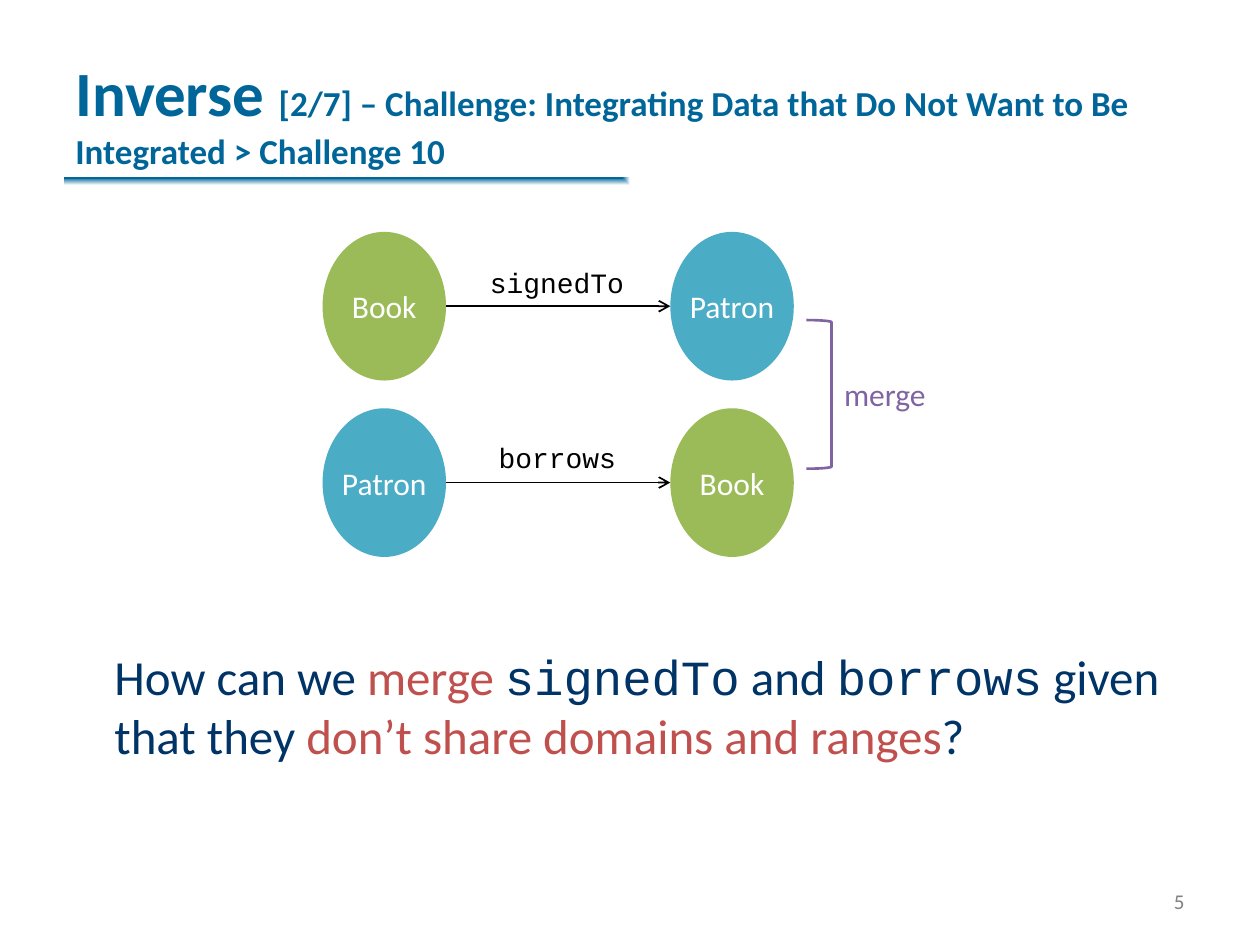
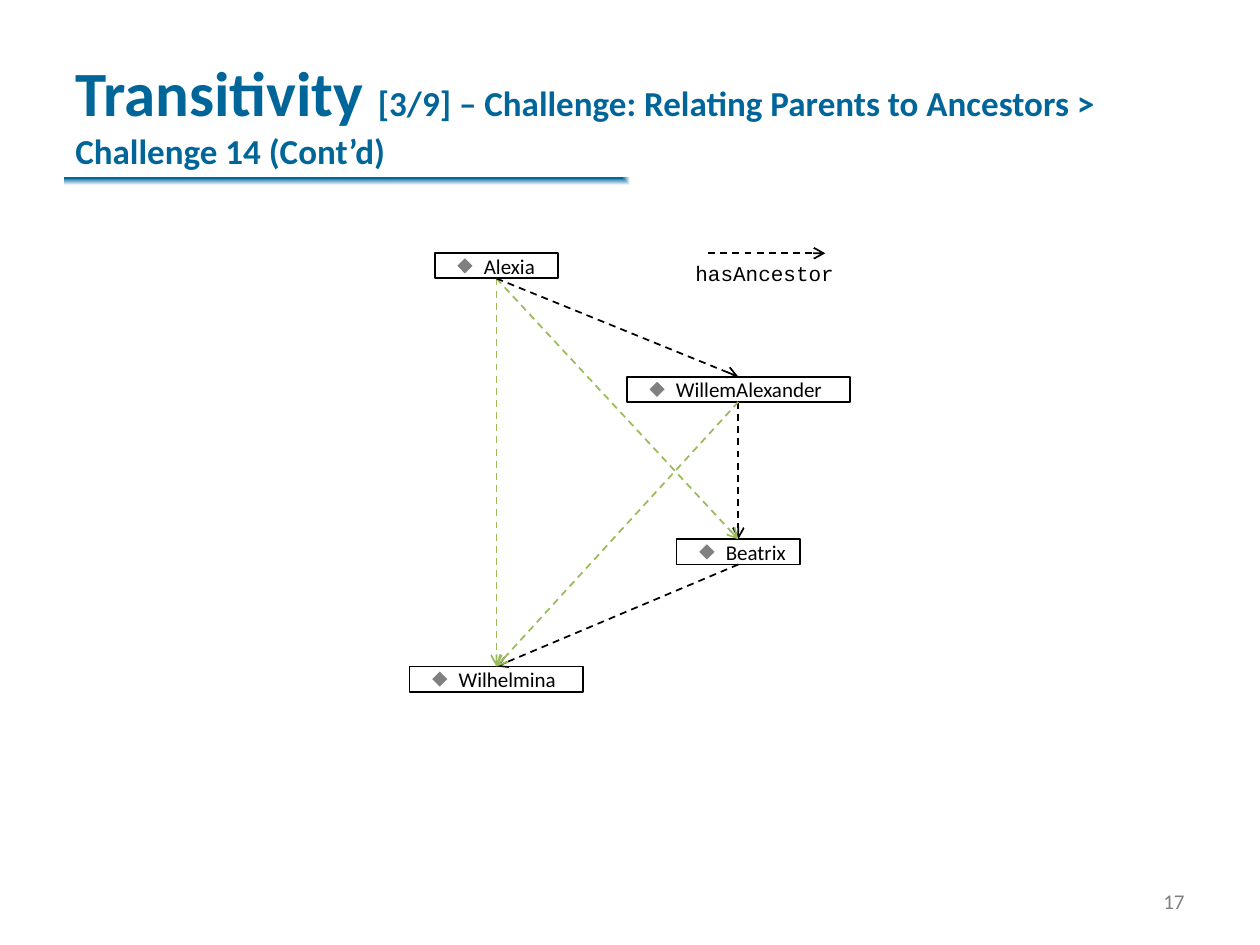
from dataclasses import dataclass

from lxml import etree
from pptx import Presentation
from pptx.dml.color import RGBColor
from pptx.enum.dml import MSO_LINE_DASH_STYLE as Dash
from pptx.enum.shapes import MSO_CONNECTOR as Connector, MSO_SHAPE as Shape
from pptx.enum.text import MSO_ANCHOR as Anchor, PP_ALIGN as Align
from pptx.oxml.ns import qn
from pptx.util import Inches, Pt

COLORS = {
    "title": "006699",
    "body": "003366",
    "accent": "C0504D",
    "green": "9BBB59",
    "blue": "4BACC6",
    "purple": "8064A2",
    "gray": "808080",
    "black": "000000",
    "white": "FFFFFF",
}
SANS, MONO = "Calibri", "Courier New"


@dataclass(frozen=True)
class Span:
    text: str
    size: float
    color: str = "black"
    font: str = SANS
    bold: bool = False


@dataclass(frozen=True)
class Area:
    left: float
    top: float
    width: float
    height: float

    def lengths(self) -> tuple:
        return tuple(Inches(v) for v in (self.left, self.top, self.width, self.height))


@dataclass(frozen=True)
class Property:
    """A named relation from one class to another, drawn as a row."""
    name: str
    domain: str
    range: str
    top: float
    label: Area


@dataclass(frozen=True)
class Individual:
    name: str
    center: float
    top: float
    width: float


def rgb(name: str) -> RGBColor:
    return RGBColor.from_string(COLORS[name])


def write_spans(frame, spans: list[Span], align=Align.LEFT) -> None:
    para = frame.paragraphs[0]
    para.alignment = align
    for span in spans:
        run = para.add_run()
        run.text = span.text
        run.font.name = span.font
        run.font.size = Pt(span.size)
        run.font.bold = span.bold
        run.font.color.rgb = rgb(span.color)


def add_text(page, area: Area, spans: list[Span], align=Align.LEFT,
             anchor=Anchor.TOP, wrap: bool = True) -> None:
    frame = page.shapes.add_textbox(*area.lengths()).text_frame
    frame.word_wrap = wrap
    frame.vertical_anchor = anchor
    write_spans(frame, spans, align)


def add_figure(page, kind, area: Area, fill: str = "", line: str = "", weight: float = 1):
    shape = page.shapes.add_shape(kind, *area.lengths())
    shape.shadow.inherit = False
    if fill:
        shape.fill.solid()
        shape.fill.fore_color.rgb = rgb(fill)
    else:
        shape.fill.background()
    if line:
        shape.line.color.rgb = rgb(line)
        shape.line.width = Pt(weight)
    else:
        shape.line.fill.background()
    return shape


def set_margins(frame, left: float, right: float) -> None:
    frame.word_wrap = True
    frame.vertical_anchor = Anchor.MIDDLE
    frame.margin_left, frame.margin_right = Inches(left), Inches(right)


def add_arrow(page, start: tuple, end: tuple, color: str = "black", dashed: bool = False) -> None:
    points = [Inches(v) for v in (*start, *end)]
    arrow = page.shapes.add_connector(Connector.STRAIGHT, *points)
    arrow.line.color.rgb = rgb(color)
    arrow.line.width = Pt(1)
    if dashed:
        arrow.line.dash_style = Dash.DASH
    properties = arrow._element.spPr
    etree.SubElement(properties.find(qn("a:ln")), qn("a:tailEnd"), type="arrow")
    etree.SubElement(properties, qn("a:effectLst"))


def add_title_band(page) -> None:
    """Draw the bar under the title, fading away from its top left corner."""
    band = add_figure(page, Shape.RECTANGLE, Area(0.51, 1.41, 8.98, 0.12))
    band.fill.gradient()
    for stop, color, position in zip(band.fill.gradient_stops, ("title", "white"), (0, 1)):
        stop.color.rgb = rgb(color)
        stop.position = position
    gradient = band._element.spPr.find(qn("a:gradFill"))
    gradient.remove(gradient.find(qn("a:lin")))
    path = etree.SubElement(gradient, qn("a:path"), path="rect")
    etree.SubElement(path, qn("a:fillToRect"), r="100000", b="100000")


def add_page(deck, topic: str, detail: str, number: int):
    page = deck.slides.add_slide(deck.slide_layouts[6])
    add_title_band(page)
    add_text(page, Area(0.5, 0, 9, 1.41),
             [Span(topic + " ", 36, "title", bold=True), Span(detail, 20, "title", bold=True)],
             anchor=Anchor.BOTTOM)
    add_text(page, Area(8.98, 6.95, 0.52, 0.4), [Span(str(number), 12, "gray")],
             Align.RIGHT, Anchor.MIDDLE)
    return page


def add_class(page, name: str, left: float, top: float) -> None:
    fill = {"Book": "green", "Patron": "blue"}[name]
    oval = add_figure(page, Shape.OVAL, Area(left, top, 0.98, 1.18), fill)
    set_margins(oval.text_frame, 0, 0)
    write_spans(oval.text_frame, [Span(name, 18, "white")], Align.CENTER)


def add_property(page, relation: Property) -> None:
    domain_left, range_left = 2.56, 5.32
    add_class(page, relation.domain, domain_left, relation.top)
    add_class(page, relation.range, range_left, relation.top)
    middle = relation.top + 0.59
    add_arrow(page, (domain_left + 0.98, middle), (range_left, middle))
    add_text(page, relation.label, [Span(relation.name, 16, font=MONO)], wrap=False)


def add_individual(page, person: Individual) -> None:
    left = person.center - person.width / 2
    box = add_figure(page, Shape.RECTANGLE, Area(left, person.top, person.width, 0.2), line="black")
    set_margins(box.text_frame, 0.39, 0.1)
    write_spans(box.text_frame, [Span(person.name, 12)])
    add_figure(page, Shape.DIAMOND, Area(left + 0.18, person.top + 0.04, 0.12, 0.12), "gray")


def build_inverse(deck) -> None:
    page = add_page(deck, "Inverse", "[2/7] – Challenge: Integrating Data that Do Not Want "
                    "to Be Integrated > Challenge 10", 5)
    for relation in (
        Property("signedTo", "Book", "Patron", 1.84, Area(3.79, 2.06, 1.28, 0.37)),
        Property("borrows", "Patron", "Book", 3.24, Area(3.86, 3.45, 1.15, 0.37)),
    ):
        add_property(page, relation)
    add_figure(page, Shape.RIGHT_BRACKET, Area(6.4, 2.54, 0.2, 1.18), line="purple", weight=1.5)
    add_text(page, Area(6.6, 2.93, 0.85, 0.4), [Span("merge", 18, "purple")], wrap=False)
    add_text(page, Area(0.81, 5.08, 8.69, 1.62), [
        Span("How can we ", 28, "body"),
        Span("merge ", 28, "accent"),
        Span("signedTo", 28, "body", MONO),
        Span(" and ", 28, "body"),
        Span("borrows", 28, "body", MONO),
        Span(" given that they ", 28, "body"),
        Span("don’t share domains and ranges", 28, "accent"),
        Span("?", 28, "body"),
    ])


def build_transitivity(deck) -> None:
    page = add_page(deck, "Transitivity", "[3/9] – Challenge: Relating Parents to Ancestors > "
                    "Challenge 14 (Cont’d)", 17)
    left_axis, right_axis = 3.94, 5.86
    people = [
        Individual("Alexia", left_axis, 2.01, 0.98),
        Individual("WillemAlexander", right_axis, 2.99, 1.77),
        Individual("Beatrix", right_axis, 4.28, 0.98),
        Individual("Wilhelmina", left_axis, 5.29, 1.38),
    ]
    for person in people:
        add_individual(page, person)
    alexia, willem, beatrix, wilhelmina = people
    for child, ancestor, color in (
        (alexia, wilhelmina, "green"),
        (willem, beatrix, "black"),
        (alexia, beatrix, "green"),
        (beatrix, wilhelmina, "black"),
        (willem, wilhelmina, "green"),
        (alexia, willem, "black"),
    ):
        add_arrow(page, (child.center, child.top + 0.2), (ancestor.center, ancestor.top),
                  color, dashed=True)
    add_arrow(page, (5.62, 2.01), (6.55, 2.01), dashed=True)
    add_text(page, Area(5.42, 2.02, 1.32, 0.3), [Span("hasAncestor", 12, font=MONO)], wrap=False)


def main() -> None:
    deck = Presentation()
    deck.slide_width, deck.slide_height = Inches(10), Inches(7.5)
    build_inverse(deck)
    build_transitivity(deck)
    deck.save("out.pptx")


if __name__ == "__main__":
    main()
